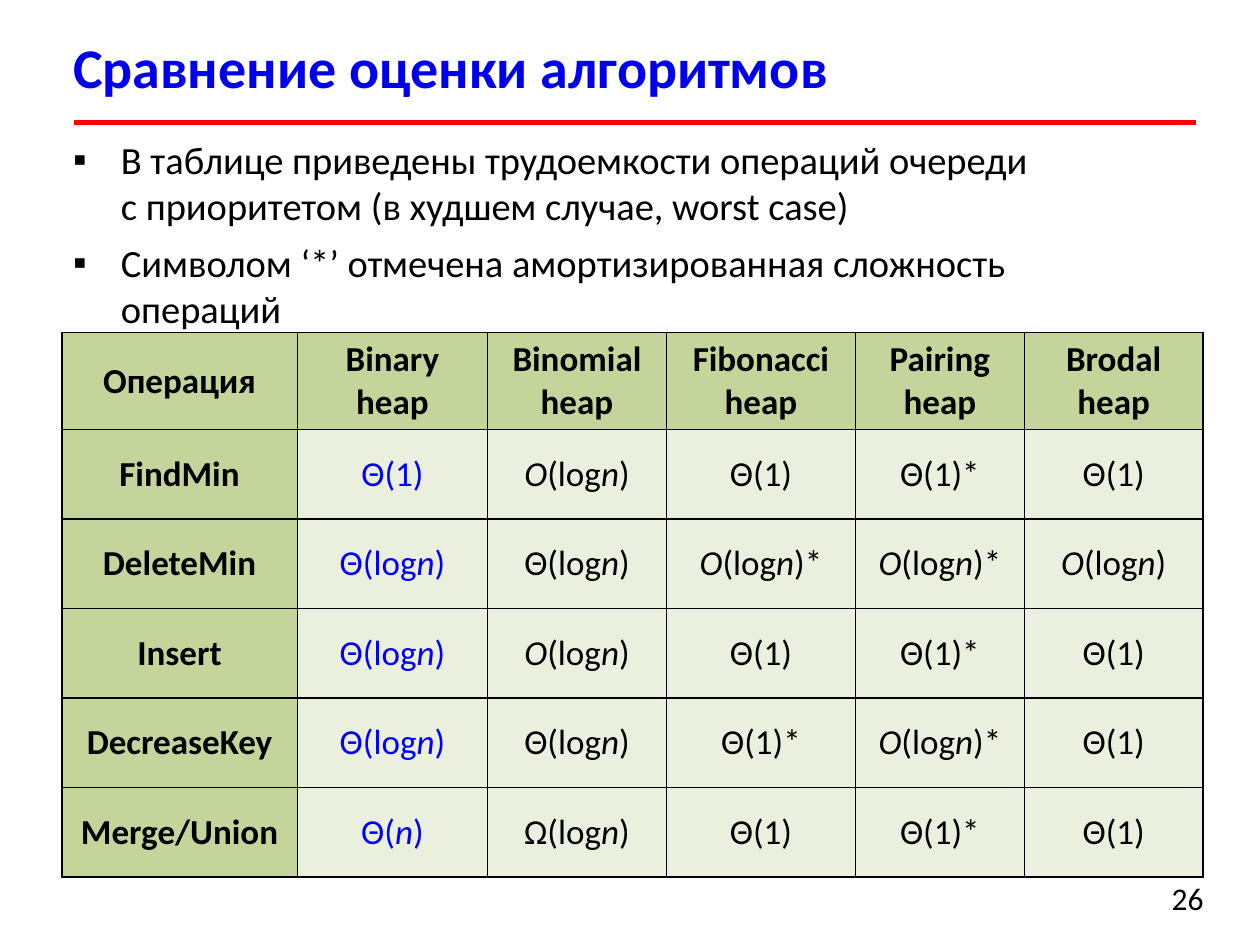
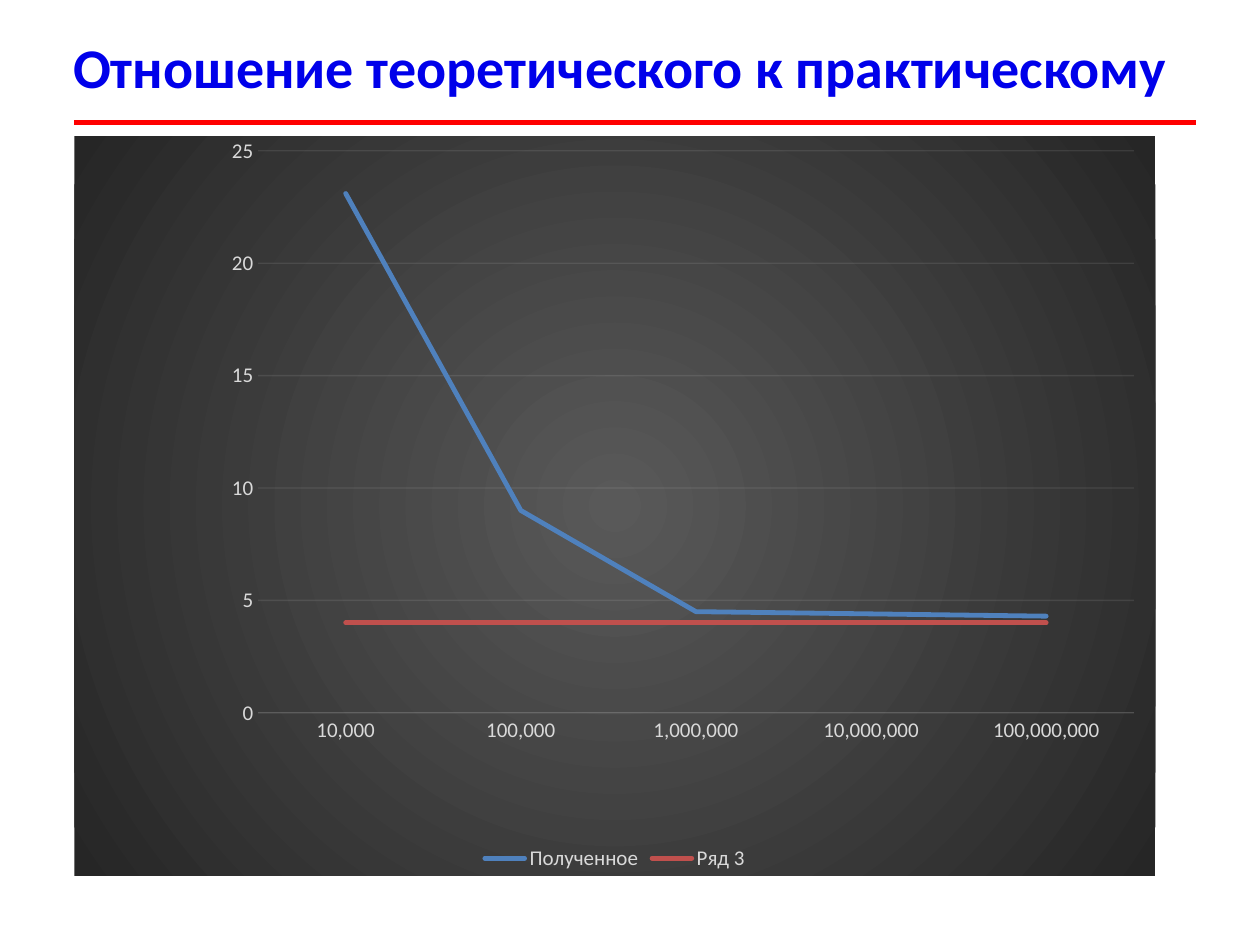
import itertools

import pptx
import pptx.chart.data
import pptx.dml.color
import pptx.enum.chart
import pptx.enum.shapes
import pptx.enum.text
import pptx.oxml
import pptx.oxml.ns
import pptx.util

FONT = "Calibri"
HUES = {
    "title": "0000EA", "rule": "FF0000", "text": "000000", "mark": "0000FF",
    "head": "C3D59B", "cell": "EBF0DE", "label": "D9D9D9", "grid": "F2F2F2",
    "inner": "595959", "outer": "262626", "blue": "4F81BD", "red": "C0504D",
}
ALIGN = pptx.enum.text.PP_ALIGN
ANCHOR = pptx.enum.text.MSO_ANCHOR

# Values that every text frame shares
FRAME = {
    "margin_left": 0, "margin_right": 0, "margin_top": 0, "margin_bottom": 0,
    "word_wrap": True, "vertical_anchor": ANCHOR.TOP,
    "auto_size": pptx.enum.text.MSO_AUTO_SIZE.NONE,
}

HEADS = ["Операция", "Binary\nheap", "Binomial\nheap", "Fibonacci\nheap",
         "Pairing\nheap", "Brodal\nheap"]
COSTS = [
    ["FindMin", "Θ(1)", "O(logn)", "Θ(1)", "Θ(1)*", "Θ(1)"],
    ["DeleteMin", "Θ(logn)", "Θ(logn)", "O(logn)*", "O(logn)*", "O(logn)"],
    ["Insert", "Θ(logn)", "O(logn)", "Θ(1)", "Θ(1)*", "Θ(1)"],
    ["DecreaseKey", "Θ(logn)", "Θ(logn)", "Θ(1)*", "O(logn)*", "Θ(1)"],
    ["Merge/Union", "Θ(n)", "Ω(logn)", "Θ(1)", "Θ(1)*", "Θ(1)"],
]
WIDTHS = [1.87, 1.51, 1.42, 1.5, 1.34, 1.42]
POINTS = [
    "В таблице приведены трудоемкости операций очереди "
    "с приоритетом (в худшем случае, worst case)",
    "Символом ‘*’ отмечена амортизированная сложность операций",
]
SERIES = [
    ("Полученное", [23.1, 9, 4.5, 4.4, 4.3], "blue"),
    ("Ряд 3", [4] * 5, "red"),
]


# Shared helpers
def style(item, values):
    for name, value in values.items():
        setattr(item, name, value)


def rgb(hue):
    return pptx.dml.color.RGBColor.from_string(HUES[hue])


def make(xml, *spaces):
    tag, rest = xml.split(">", 1)
    slash = "/" if tag.endswith("/") else ""
    names = pptx.oxml.ns.nsdecls(*spaces)
    return pptx.oxml.parse_xml(f"{tag.rstrip('/')} {names}{slash}>{rest}")


def ink(font, size, hue, bold=False, slant=False):
    style(font, {"name": FONT, "size": pptx.util.Pt(size), "bold": bold, "italic": slant})
    font.color.rgb = rgb(hue)


def place(shape, *box):
    sides = ("left", "top", "width", "height")
    style(shape, dict(zip(sides, map(pptx.util.Inches, box))))


def write(para, text, *look, align=ALIGN.LEFT):
    para.alignment = align
    run = para.add_run()
    run.text = text
    ink(run.font, *look)


# Title with the red rule below it
def add_page(deck, layout, text):
    slide = deck.slides.add_slide(deck.slide_layouts[layout])
    title = slide.shapes.title
    place(title, 0.58, 0.26, 8.85, 0.56)
    style(title.text_frame, FRAME)
    write(title.text_frame.paragraphs[0], text, 32, "title", True)
    ends = [pptx.util.Inches(n) for n in (0.59, 0.97, 9.49, 0.97)]
    rule = slide.shapes.add_connector(pptx.enum.shapes.MSO_CONNECTOR.STRAIGHT, *ends)
    rule.line.color.rgb = rgb("rule")
    rule.line.width = pptx.util.Pt(3)
    rule._element.spPr.append(make("<a:effectLst/>", "a"))
    return slide


def add_list(slide, lines):
    body = slide.placeholders[1]
    place(body, 0.58, 1.08, 8.78, 1.55)
    frame = body.text_frame
    style(frame, FRAME)
    for i, line in enumerate(lines):
        para = frame.add_paragraph() if i else frame.paragraphs[0]
        write(para, line, 22, "text")
        style(para, {"space_before": pptx.util.Pt(6 if i else 1), "line_spacing": 1.0})
        props = para._p.get_or_add_pPr()
        for name, size in (("marL", 0.38), ("indent", -0.38), ("marR", 1.15)):
            props.set(name, str(pptx.util.Inches(size)))
        props.append(make('<a:buChar char="▪"/>', "a"))


def add_note(slide, text):
    box = slide.shapes.add_textbox(0, 0, 0, 0)
    place(box, 9.27, 6.98, 0.31, 0.28)
    style(box.text_frame, FRAME)
    write(box.text_frame.paragraphs[0], text, 18, "text", align=ALIGN.CENTER)


# Table: variables n and O are set in italics
def fill_cell(cell, text, head, hue):
    style(cell, {k: v for k, v in FRAME.items() if k.startswith("margin")})
    cell.vertical_anchor = ANCHOR.MIDDLE
    for i, line in enumerate(text.split("\n")):
        para = cell.text_frame.add_paragraph() if i else cell.text_frame.paragraphs[0]
        for slant, part in itertools.groupby(line, lambda c: not head and c in "nO"):
            write(para, "".join(part), 20, hue, head, slant, align=ALIGN.CENTER)
    props = cell._tc.get_or_add_tcPr()
    for side in "LRTB":
        props.append(make(
            f'<a:ln{side} w="12700"><a:solidFill><a:srgbClr val="{HUES["text"]}"/>'
            f"</a:solidFill></a:ln{side}>", "a"))
    cell.fill.solid()
    cell.fill.fore_color.rgb = rgb("head" if head else "cell")


def add_grid(slide, rows):
    box = [pptx.util.Inches(n) for n in (0.49, 2.64, sum(WIDTHS), 4.32)]
    table = slide.shapes.add_table(len(rows), len(WIDTHS), *box).table
    for col, width in zip(table.columns, WIDTHS):
        col.width = pptx.util.Inches(width)
    for r, row in enumerate(rows):
        table.rows[r].height = pptx.util.Inches(0.71 if r else 0.77)
        for c, text in enumerate(row):
            head = r == 0 or c == 0
            hue = "mark" if c == 1 and not head else "text"
            fill_cell(table.cell(r, c), text, head, hue)


# Chart
def fade(line):
    line.color.rgb = rgb("grid")
    line.width = pptx.util.Pt(0.75)
    tint = line._get_or_add_ln().xpath(".//a:srgbClr")[0]
    tint.append(make('<a:alpha val="10000"/>', "a"))


def set_back(chart):
    stops = "".join(f'<a:gs pos="{pos}"><a:srgbClr val="{HUES[hue]}"/></a:gs>'
                    for pos, hue in ((0, "inner"), (100000, "outer")))
    chart.element.xpath("c:chart")[0].addnext(make(
        f"<c:spPr><a:gradFill><a:gsLst>{stops}</a:gsLst>"
        '<a:path path="circle"><a:fillToRect l="50000" t="50000" r="50000" b="50000"/>'
        "</a:path></a:gradFill><a:ln><a:noFill/></a:ln></c:spPr>", "c", "a"))


def set_plot(chart, *box):
    area = chart.element.xpath("c:chart/c:plotArea")[0]
    for old in area.xpath("c:layout"):
        area.remove(old)
    sizes = "".join(f'<c:{k} val="{v}"/>' for k, v in zip("xywh", box))
    area.insert(0, make(
        '<c:layout><c:manualLayout><c:layoutTarget val="inner"/><c:xMode val="edge"/>'
        f'<c:yMode val="edge"/>{sizes}</c:manualLayout></c:layout>', "c"))


def add_lines(slide):
    data = pptx.chart.data.CategoryChartData()
    data.categories = [10 ** n for n in range(4, 9)]
    data.categories.number_format = "#,##0"
    for name, values, _ in SERIES:
        data.add_series(name, values)
    box = [pptx.util.Inches(n) for n in (0.59, 1.08, 8.58, 5.87)]
    chart = slide.shapes.add_chart(
        pptx.enum.chart.XL_CHART_TYPE.LINE, *box, data).chart
    ink(chart.font, 10, "text")
    set_back(chart)
    set_plot(chart, 0.17, 0.02, 0.81, 0.76)
    style(chart, {"has_title": False, "has_legend": True})
    style(chart.legend, {"include_in_layout": False,
                         "position": pptx.enum.chart.XL_LEGEND_POSITION.BOTTOM})
    ink(chart.legend.font, 12, "label")

    # Axes
    across, up = chart.category_axis, chart.value_axis
    for axis in (across, up):
        axis.major_tick_mark = pptx.enum.chart.XL_TICK_MARK.NONE
        ink(axis.tick_labels.font, 12, "label")
    style(across.tick_labels, {"number_format": "#,##0", "number_format_is_linked": False})
    style(up, {"minimum_scale": 0, "maximum_scale": 25, "major_unit": 5})
    up.format.line.fill.background()
    fade(across.format.line)
    fade(up.major_gridlines.format.line)

    # Series
    chart.plots[0].vary_by_categories = False
    for item, (_, _, hue) in zip(chart.plots[0].series, SERIES):
        item.smooth = False
        item.format.line.color.rgb = rgb(hue)
        item.format.line.width = pptx.util.Pt(2.75)
        item.format.line._get_or_add_ln().set("cap", "rnd")


def main():
    deck = pptx.Presentation()
    deck.slide_width = pptx.util.Inches(10)
    deck.slide_height = pptx.util.Inches(7.5)

    slide = add_page(deck, 1, "Сравнение оценки алгоритмов")
    add_list(slide, POINTS)
    add_grid(slide, [HEADS] + COSTS)
    add_note(slide, "26")

    slide = add_page(deck, 5, "Отношение теоретического к практическому")
    add_lines(slide)

    deck.save("out.pptx")


main()
